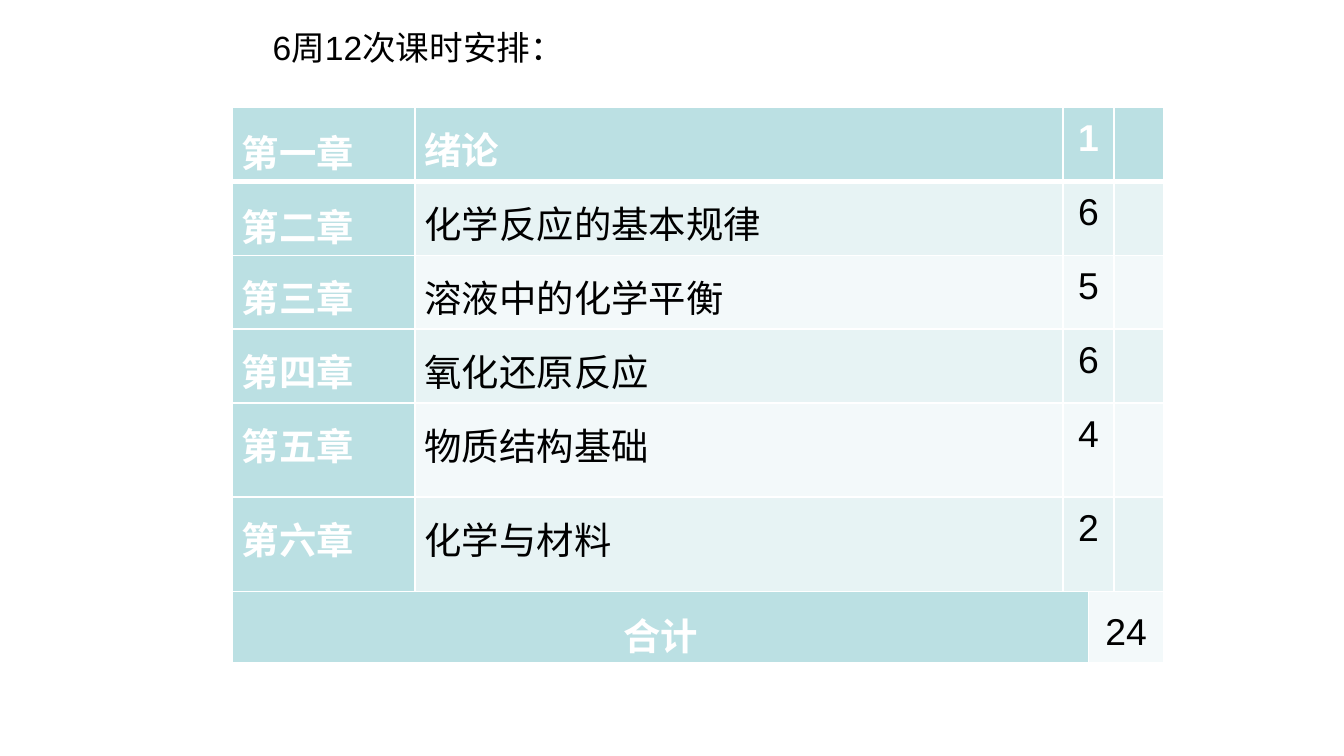
from dataclasses import dataclass

from lxml import etree
from pptx import Presentation
from pptx.dml.color import RGBColor
from pptx.enum.text import MSO_ANCHOR, PP_ALIGN
from pptx.oxml.ns import qn
from pptx.util import Inches, Pt

CENTER, JUSTIFY = PP_ALIGN.CENTER, PP_ALIGN.JUSTIFY
TOP, MIDDLE = MSO_ANCHOR.TOP, MSO_ANCHOR.MIDDLE

# Content
HEADING = "6周12次课时安排："
CHAPTERS = [
    ("第一章", "绪论", 1),
    ("第二章", "化学反应的基本规律", 6),
    ("第三章", "溶液中的化学平衡", 5),
    ("第四章", "氧化还原反应", 6),
    ("第五章", "物质结构基础", 4),
    ("第六章", "化学与材料", 2),
]
TOTAL_LABEL = "合计"

# Layout, in inches
SLIDE_WIDTH = 10
SLIDE_SIZE = (SLIDE_WIDTH, SLIDE_WIDTH * 9 / 16)
HEADING_BOX = (1.93, 0, 6.02, 2.08)
TABLE_CORNER = (1.73, 0.8)
COLUMN_WIDTHS = [1.36, 4.82, 0.19, 0.19, 0.37]
ROW_HEIGHTS = [0.55] * 4 + [0.7] * 2 + [0.53]
CELL_INSET = 0.07


@dataclass(frozen=True)
class Theme:
    font: str = "Arial"
    heading_size: int = 18
    table_size: int = 20
    dark: str = "000000"
    light: str = "FFFFFF"
    accent: str = "BBE0E3"
    bands: tuple = ("F3F9FA", "E7F3F4")
    thin_rule: int = 1
    thick_rule: int = 3


THEME = Theme()


def write(paragraph, text, size, color, bold=False):
    span = paragraph.add_run()
    span.text = text
    span.font.name = THEME.font
    span.font.size = Pt(size)
    span.font.bold = bold
    span.font.color.rgb = RGBColor.from_string(color)


def add_borders(cell, row):
    """Rule all four sides, with a thick rule between the first two rows."""
    thick_side = {0: "lnB", 1: "lnT"}.get(row)
    properties = cell._tc.get_or_add_tcPr()
    for side in ("lnL", "lnR", "lnT", "lnB"):
        width = THEME.thick_rule if side == thick_side else THEME.thin_rule
        line = etree.SubElement(properties, qn(f"a:{side}"), w=str(Pt(width)))
        fill = etree.SubElement(line, qn("a:solidFill"))
        etree.SubElement(fill, qn("a:srgbClr"), val=THEME.light)


def style_cell(cell, row, column, is_header):
    add_borders(cell, row)
    color = THEME.accent if is_header else THEME.bands[row % 2]
    cell.fill.solid()
    cell.fill.fore_color.rgb = RGBColor.from_string(color)
    cell.margin_left = cell.margin_right = Inches(CELL_INSET)
    cell.margin_top = cell.margin_bottom = 0


def fill_cell(cell, text, is_header, align, anchor):
    cell.vertical_anchor = anchor
    para = cell.text_frame.paragraphs[0]
    para.alignment = align
    para.line_spacing = 1.25
    color = THEME.light if is_header else THEME.dark
    write(para, text, THEME.table_size, color, is_header)


def add_heading(slide):
    box = slide.shapes.add_textbox(*map(Inches, HEADING_BOX))
    box.text_frame.word_wrap = True
    para = box.text_frame.paragraphs[0]
    para.line_spacing = 1.5
    para.space_after = Pt(12)
    write(para, HEADING, THEME.heading_size, THEME.dark)


def add_schedule(slide):
    size = (sum(COLUMN_WIDTHS), sum(ROW_HEIGHTS))
    table = slide.shapes.add_table(
        len(ROW_HEIGHTS), len(COLUMN_WIDTHS), *map(Inches, TABLE_CORNER + size)
    ).table
    for column, width in zip(table.columns, COLUMN_WIDTHS):
        column.width = Inches(width)
    for row, height in zip(table.rows, ROW_HEIGHTS):
        row.height = Inches(height)

    last = len(CHAPTERS)
    for row in range(last + 1):
        for column in range(len(COLUMN_WIDTHS)):
            is_header = row == 0 or column == 0 or (row == last and column < 3)
            style_cell(table.cell(row, column), row, column, is_header)

    for row, (chapter, title, hours) in enumerate(CHAPTERS):
        table.cell(row, 2).merge(table.cell(row, 3))
        chapter_anchor = MIDDLE if row < 2 else TOP
        fill_cell(table.cell(row, 0), chapter, True, JUSTIFY, chapter_anchor)
        fill_cell(table.cell(row, 1), title, row == 0, JUSTIFY, TOP)
        fill_cell(table.cell(row, 2), str(hours), row == 0, CENTER, TOP)

    table.cell(last, 0).merge(table.cell(last, 2))
    table.cell(last, 3).merge(table.cell(last, 4))
    total = sum(hours for _, _, hours in CHAPTERS)
    fill_cell(table.cell(last, 0), TOTAL_LABEL, True, CENTER, MIDDLE)
    fill_cell(table.cell(last, 3), str(total), False, CENTER, MIDDLE)


def main():
    deck = Presentation()
    deck.slide_width, deck.slide_height = map(Inches, SLIDE_SIZE)
    slide = deck.slides.add_slide(deck.slide_layouts[6])
    add_heading(slide)
    add_schedule(slide)
    deck.save("out.pptx")


if __name__ == "__main__":
    main()
